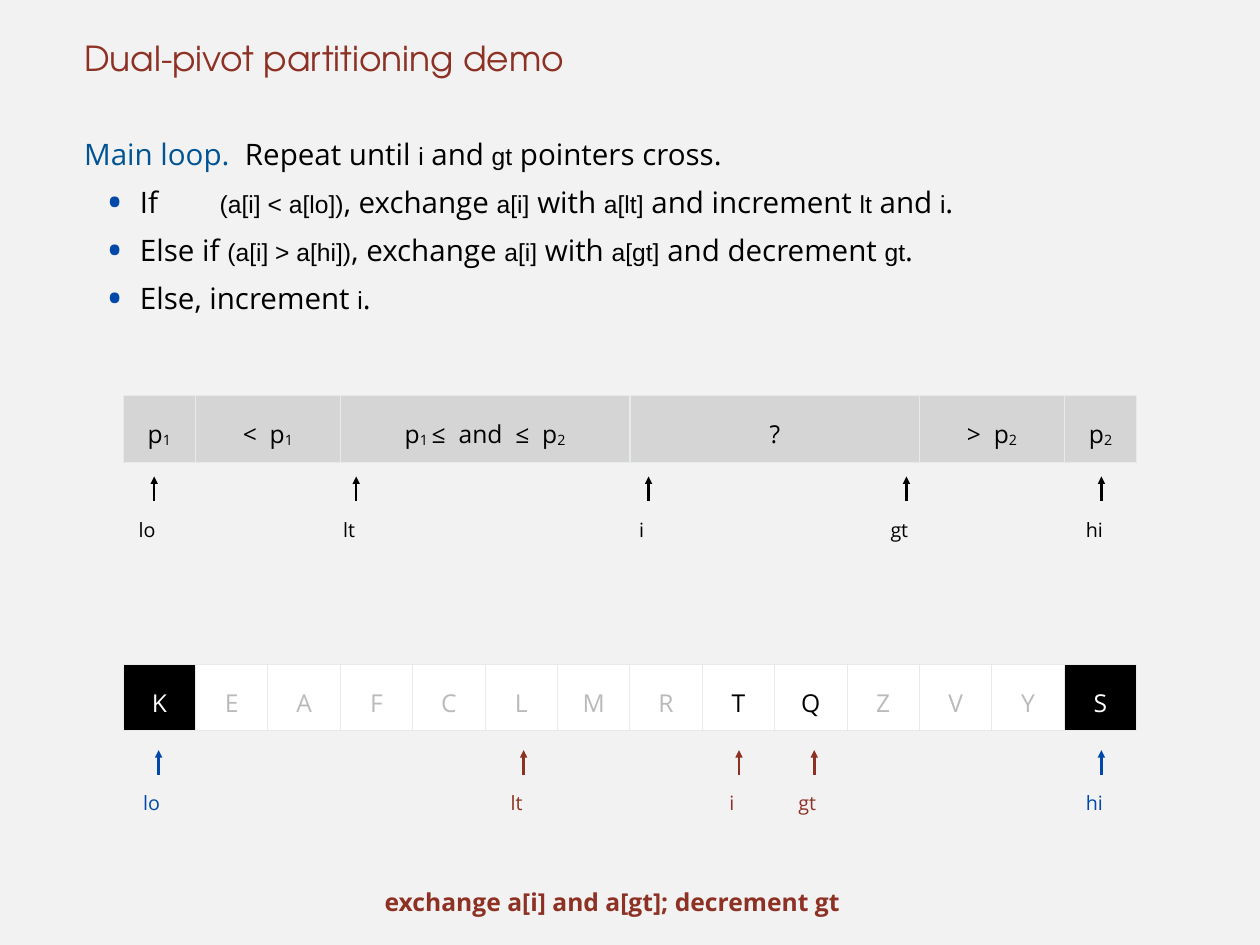
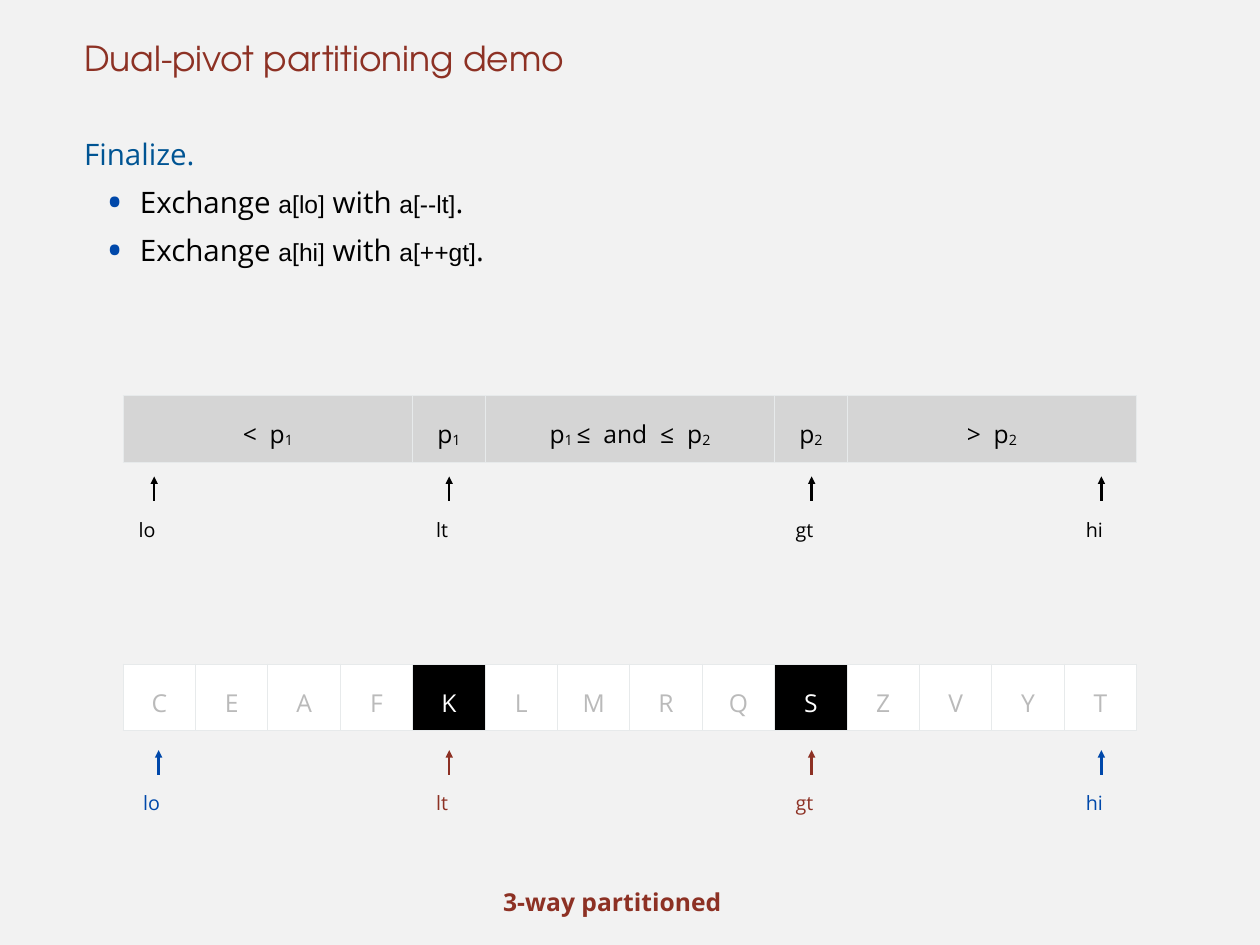
import pptx
import pptx.dml.color
import pptx.enum.shapes
import pptx.enum.text
import pptx.oxml
import pptx.oxml.ns
import pptx.util

Inches = pptx.util.Inches
Pt = pptx.util.Pt
ALIGN = pptx.enum.text.PP_ALIGN
ANCHOR = pptx.enum.text.MSO_ANCHOR

TITLE = "Dual-pivot partitioning demo"
TITLE_FONT, TEXT_FONT, CODE_FONT = "TeX Gyre Adventor", "Open Sans", "Arial"
BACKGROUND, BORDER, BAND = "F2F2F2", "E7EAEB", "D5D5D5"
BLACK, WHITE, GRAY = "000000", "FFFFFF", "BABABA"
RED, BLUE, HEADING = "8D3124", "0048AA", "005493"

TABLE_LEFT, TABLE_WIDTH, TABLE_COLUMNS = 1.39, 11.44, 14
ROW_HEIGHT, REGIONS_TOP, ARRAY_TOP = 0.75, 4.47, 7.5
REGION_ARROWS_TOP, ARRAY_ARROWS_TOP = 5.38, 8.47
LABEL_WIDTHS = {"lo": 0.39, "lt": 0.34, "i": 0.25, "gt": 0.41, "hi": 0.39}
POINTER_COLORS = {"lo": BLUE, "lt": RED, "i": RED, "gt": RED, "hi": BLUE}

SLIDES = [
    {
        "heading": "Main loop.  ",
        "lead": "Repeat until `i` and `gt` pointers cross.",
        "bullets": [
            "If\t`(a[i] < a[lo])`, exchange `a[i]` with `a[lt]` and increment `lt` and `i`.",
            "Else if `(a[i] > a[hi])`, exchange `a[i]` with `a[gt]` and decrement `gt`.",
            "Else, increment `i`.",
        ],
        "regions": [("p_1", 1), ("<  p_1", 2), ("p_1 _≤  and  ≤  p_2", 4),
                    ("?", 4), (">  p_2", 2), ("p_2", 1)],
        "region_pointers": {"lo": 1.74, "lt": 4.02, "i": 7.32, "gt": 10.23, "hi": 12.43},
        "letters": "KEAFCLMRTQZVYS",
        "pivots": "KS",
        "unprocessed": "TQ",
        "array_pointers": {"lo": 1.79, "lt": 5.91, "i": 8.34, "gt": 9.19, "hi": 12.43},
        "caption": "exchange a[i] and a[gt]; decrement gt",
    },
    {
        "heading": "Finalize.",
        "lead": "",
        "bullets": ["Exchange `a[lo]` with `a[--lt]`.", "Exchange `a[hi]` with `a[++gt]`."],
        "regions": [("<  p_1", 4), ("p_1", 1), ("p_1 _≤  and  ≤  p_2", 4),
                    ("p_2", 1), (">  p_2", 4)],
        "region_pointers": {"lo": 1.74, "lt": 5.07, "gt": 9.16, "hi": 12.43},
        "letters": "CEAFKLMRQSZVYT",
        "pivots": "KS",
        "unprocessed": "",
        "array_pointers": {"lo": 1.79, "lt": 5.07, "gt": 9.16, "hi": 12.43},
        "caption": "3-way partitioned",
    },
]


def rgb(color):
    return pptx.dml.color.RGBColor.from_string(color)


def add_xml(parent, markup):
    namespace = pptx.oxml.ns.nsdecls("a")
    for element in list(pptx.oxml.parse_xml(f"<a:root {namespace}>{markup}</a:root>")):
        parent.append(element)


def add_run(paragraph, text, size, color, font=TEXT_FONT, bold=False):
    run = paragraph.add_run()
    run.text = text
    run.font.size = Pt(size)
    run.font.name = font
    run.font.bold = bold
    run.font.color.rgb = rgb(color)
    return run


def add_code_runs(paragraph, text):
    for index, part in enumerate(text.split("`")):
        if part:
            size, font = (20, CODE_FONT) if index % 2 else (24, TEXT_FONT)
            add_run(paragraph, part, size, BLACK, font)


def add_subscript_runs(paragraph, text, color):
    for index, part in enumerate(text.split("_")):
        run = add_run(paragraph, part, 20, color)
        if index % 2:
            run._r.get_or_add_rPr().set("baseline", "-6000")


def format_paragraph(paragraph, spacing, align=ALIGN.LEFT, margin=0, indent=0):
    paragraph.line_spacing = spacing
    paragraph.alignment = align
    properties = paragraph._p.get_or_add_pPr()
    properties.set("marL", str(Inches(margin)))
    properties.set("indent", str(Inches(indent)))
    return properties


def add_text_frame(slide, left, top, width, height, wrap=True):
    shape = slide.shapes.add_textbox(Inches(left), Inches(top), Inches(width), Inches(height))
    frame = shape.text_frame
    frame.word_wrap = wrap
    frame.margin_left = frame.margin_right = frame.margin_top = frame.margin_bottom = 0
    return frame


def add_title(slide):
    frame = add_text_frame(slide, 0.89, 0, 12.44, 0.89)
    frame.vertical_anchor = ANCHOR.BOTTOM
    paragraph = frame.paragraphs[0]
    format_paragraph(paragraph, Pt(59), margin=0.06)
    add_run(paragraph, TITLE, 28, RED, TITLE_FONT)


def add_body(slide, content):
    frame = add_text_frame(slide, 0.89, 1.39, 12.44, 8.89)
    paragraph = frame.paragraphs[0]
    format_paragraph(paragraph, Pt(39), margin=0.06)
    add_run(paragraph, content["heading"], 24, HEADING)
    add_code_runs(paragraph, content["lead"])
    for bullet in content["bullets"]:
        paragraph = frame.add_paragraph()
        paragraph.level = 1
        properties = format_paragraph(paragraph, Pt(39), margin=0.69, indent=-0.38)
        add_xml(properties, f'<a:buClr><a:srgbClr val="{BLUE}"/></a:buClr><a:buSzPct val="150000"/>'
                            f'<a:buFont typeface="{TEXT_FONT}"/><a:buChar char="•"/>')
        if "\t" in bullet:
            add_xml(properties, f'<a:tabLst><a:tab pos="{Inches(1.59)}" algn="l"/></a:tabLst>')
        add_code_runs(paragraph, bullet)


def add_row(slide, top, cells):
    unit = TABLE_WIDTH / TABLE_COLUMNS
    table = slide.shapes.add_table(1, len(cells), Inches(TABLE_LEFT), Inches(top),
                                   Inches(TABLE_WIDTH), Inches(ROW_HEIGHT)).table
    table.first_row = table.horz_banding = False
    for index, (text, span, color, fill) in enumerate(cells):
        table.columns[index].width = Inches(unit * span)
        cell = table.cell(0, index)
        cell.vertical_anchor = ANCHOR.MIDDLE
        cell.margin_left = cell.margin_right = cell.margin_top = cell.margin_bottom = Inches(0.06)
        paragraph = cell.text_frame.paragraphs[0]
        format_paragraph(paragraph, 1.3, ALIGN.CENTER)
        add_subscript_runs(paragraph, text, color)
        properties = cell._tc.get_or_add_tcPr()
        for side in ("lnL", "lnR", "lnT", "lnB"):
            add_xml(properties, f'<a:{side} w="{Pt(1)}"><a:solidFill><a:srgbClr val="{BORDER}"/>'
                                f'</a:solidFill></a:{side}>')
        cell.fill.solid()
        cell.fill.fore_color.rgb = rgb(fill)


def add_pointer(slide, name, x, top, color):
    arrow = slide.shapes.add_connector(pptx.enum.shapes.MSO_CONNECTOR.STRAIGHT,
                                       Inches(x), Inches(top), Inches(x), Inches(top + 0.28))
    arrow.line.color.rgb = rgb(color)
    arrow.line.width = Pt(2)
    add_xml(arrow.line._get_or_add_ln(), '<a:headEnd type="triangle"/>')
    add_xml(arrow._element.spPr, "<a:effectLst/>")
    width = LABEL_WIDTHS[name]
    frame = add_text_frame(slide, x - 0.08 - width / 2, top + 0.33, width, 0.36, wrap=False)
    frame.auto_size = pptx.enum.text.MSO_AUTO_SIZE.SHAPE_TO_FIT_TEXT
    paragraph = frame.paragraphs[0]
    format_paragraph(paragraph, 1.5, ALIGN.CENTER)
    add_run(paragraph, name, 16, color)


def add_caption(slide, text):
    frame = add_text_frame(slide, 0.7, 9.85, 12.42, 0.43)
    paragraph = frame.paragraphs[0]
    format_paragraph(paragraph, 1.5, ALIGN.CENTER)
    add_run(paragraph, text, 20, RED, bold=True)


def letter_cell(letter, content):
    if letter in content["pivots"]:
        return letter, 1, WHITE, BLACK
    return letter, 1, BLACK if letter in content["unprocessed"] else GRAY, WHITE


def build_slide(presentation, content):
    slide = presentation.slides.add_slide(presentation.slide_layouts[6])
    slide.background.fill.solid()
    slide.background.fill.fore_color.rgb = rgb(BACKGROUND)
    add_title(slide)
    add_body(slide, content)
    add_row(slide, ARRAY_TOP, [letter_cell(letter, content) for letter in content["letters"]])
    add_row(slide, REGIONS_TOP, [(text, span, BLACK, BAND) for text, span in content["regions"]])
    for name, x in content["region_pointers"].items():
        add_pointer(slide, name, x, REGION_ARROWS_TOP, BLACK)
    for name, x in content["array_pointers"].items():
        add_pointer(slide, name, x, ARRAY_ARROWS_TOP, POINTER_COLORS[name])
    add_caption(slide, content["caption"])


def main():
    presentation = pptx.Presentation()
    presentation.slide_width = Inches(14.22)
    presentation.slide_height = Inches(10.67)
    for content in SLIDES:
        build_slide(presentation, content)
    presentation.save("out.pptx")


if __name__ == "__main__":
    main()
